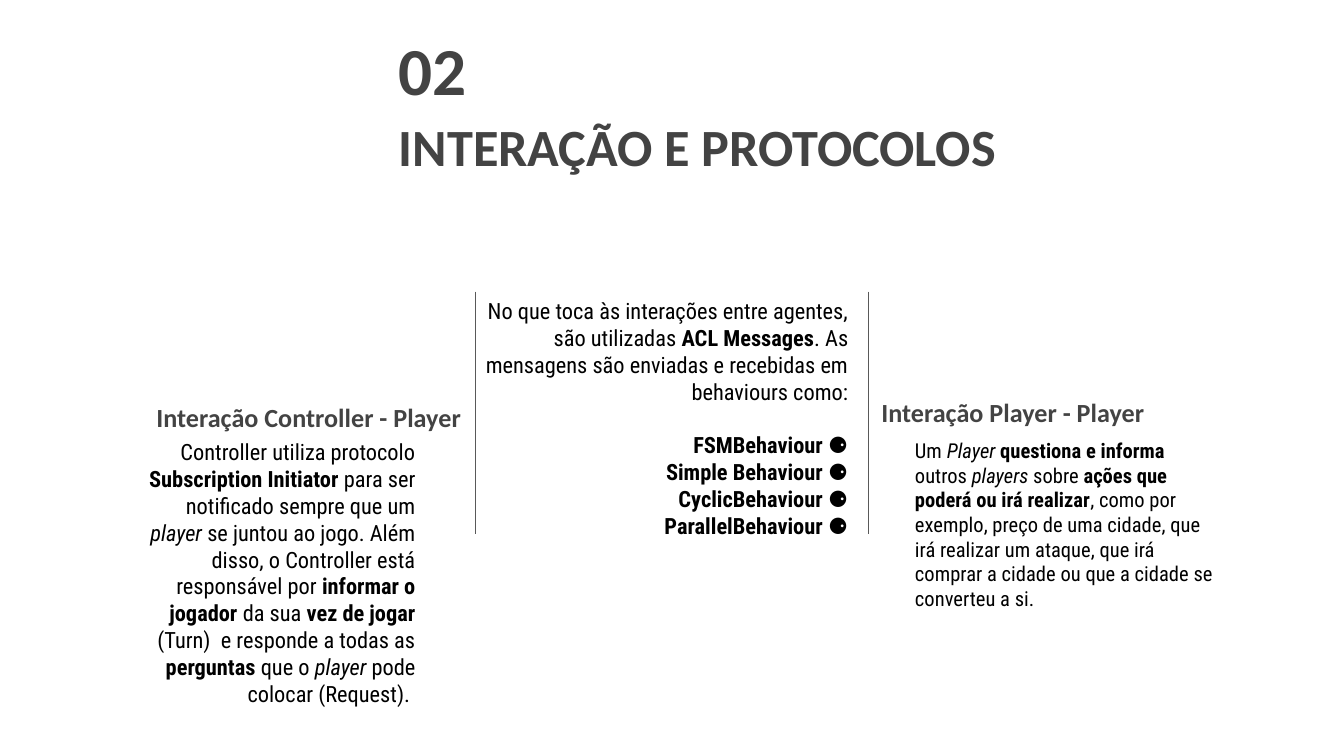
from pptx import Presentation
from pptx.dml.color import RGBColor
from pptx.enum.shapes import MSO_CONNECTOR
from pptx.enum.text import MSO_ANCHOR, PP_ALIGN
from pptx.oxml.ns import qn
from pptx.util import Inches, Pt
from lxml import etree

LEFT, RIGHT = PP_ALIGN.LEFT, PP_ALIGN.RIGHT
TOP, BOTTOM = MSO_ANCHOR.TOP, MSO_ANCHOR.BOTTOM
STRAIGHT = MSO_CONNECTOR.STRAIGHT

BLANK_LAYOUT = 6
COLUMNS, ROWS = 100, 56.25


def color(hex_text):
    return RGBColor.from_string(hex_text)


class SlideBuilder:
    """Holds the style and the current slide; lengths are grid columns and rows."""

    heading_font, heading_color = "Calibri", "434343"
    body_font, body_color = "Roboto Condensed", "000000"
    rule_color, rule_width = "595959", 0.75
    margin = Inches(0.1)

    def __init__(self, deck):
        self.page = deck.slides.add_slide(deck.slide_layouts[BLANK_LAYOUT])
        self.column = deck.slide_width / COLUMNS
        self.row = deck.slide_height / ROWS

    def place(self, x, y):
        return round(x * self.column), round(y * self.row)

    def text_frame(self, left, top, width, height, anchor=TOP):
        box = self.page.shapes.add_textbox(*self.place(left, top), *self.place(width, height))
        frame = box.text_frame
        frame.word_wrap = True
        frame.vertical_anchor = anchor
        frame.margin_left = frame.margin_right = self.margin
        frame.margin_top = frame.margin_bottom = self.margin
        return frame

    def add_span(self, para, text, font, size, hex_text, marks=""):
        """Add one run; marks may hold b for bold and i for italic."""
        span = para.add_run()
        span.text = text
        span.font.name = font
        span.font.size = Pt(size)
        span.font.color.rgb = color(hex_text)
        span.font.bold = "b" in marks
        span.font.italic = "i" in marks

    def heading(self, area, text, size, align=LEFT, anchor=TOP):
        para = self.text_frame(*area, anchor).paragraphs[0]
        para.alignment = align
        self.add_span(para, text, self.heading_font, size, self.heading_color, "b")

    def body(self, area, spans, size, align=LEFT):
        frame = self.text_frame(*area)
        self.fill_para(frame.paragraphs[0], spans, size, align)
        return frame

    def fill_para(self, para, spans, size, align):
        para.alignment = align
        for text, marks in spans:
            self.add_span(para, text, self.body_font, size, self.body_color, marks)

    def trailing_list(self, frame, items, size, gap):
        """Add right-aligned items, each with its mark at the end, after a gap in points."""
        for index, item in enumerate(items):
            para = frame.add_paragraph()
            if index == 0:
                para.space_before = Pt(gap)
            self.fill_para(para, [(f"{item} ⚈", "b")], size, RIGHT)

    def vertical_rule(self, x, top, bottom):
        rule = self.page.shapes.add_connector(STRAIGHT, *self.place(x, top), *self.place(x, bottom))
        rule.line.color.rgb = color(self.rule_color)
        rule.line.width = Pt(self.rule_width)
        etree.SubElement(rule._element.spPr, qn("a:effectLst"))


INTRO = [
    ("No que toca às interações entre agentes, são utilizadas ", ""),
    ("ACL Messages", "b"),
    (". As mensagens são enviadas e recebidas em behaviours como:", ""),
]
BEHAVIOURS = ["FSMBehaviour", "Simple Behaviour", "CyclicBehaviour", "ParallelBehaviour"]
CONTROLLER_PLAYER = [
    ("Controller utiliza protocolo ", ""),
    ("Subscription Initiator ", "b"),
    ("para ser notificado sempre que um ", ""),
    ("player ", "i"),
    ("se juntou ao jogo. Além disso, o Controller está responsável por ", ""),
    ("informar o jogador ", "b"),
    ("da sua ", ""),
    ("vez de jogar ", "b"),
    ("(Turn)  e responde a todas as ", ""),
    ("perguntas", "b"),
    (" que o ", ""),
    ("player ", "i"),
    ("pode colocar (Request). ", ""),
]
PLAYER_PLAYER = [
    ("Um ", ""),
    ("Player ", "i"),
    ("questiona e informa", "b"),
    (" outros ", ""),
    ("players ", "i"),
    ("sobre ", ""),
    ("ações que poderá ou irá realizar", "b"),
    (", como por exemplo, preço de uma cidade, que irá realizar um ataque, "
     "que irá comprar a cidade ou que a cidade se converteu a si.", ""),
]


def main():
    deck = Presentation()
    deck.slide_width = Inches(10)
    deck.slide_height = deck.slide_width * 9 // 16
    builder = SlideBuilder(deck)

    title_left = 28.7
    builder.heading((title_left, 7.5, 57, 10.3), "INTERAÇÃO E PROTOCOLOS", 28)
    builder.heading((title_left, 1.1, 32.6, 8.3), "02", 36)

    intro = builder.body((34.9, 21.1, 29.2, 19.5), INTRO, 12, RIGHT)
    builder.trailing_list(intro, BEHAVIOURS, 12, gap=14.4)

    head_top, head_width, head_height, body_top = 28.5, 29.2, 4.7, 31.6
    builder.heading((6.1, head_top, head_width, head_height),
                    "Interação Controller - Player", 14, RIGHT, BOTTOM)
    builder.body((9.5, body_top, 22.4, 19.5), CONTROLLER_PLAYER, 12, RIGHT)
    builder.heading((64.6, head_top, head_width, head_height), "Interação Player - Player", 14)
    builder.body((67.1, body_top, 24.3, 18), PLAYER_PLAYER, 11)

    for x in (35.4, 64.6):
        builder.vertical_rule(x, 21.7, 39.7)

    deck.save("out.pptx")


if __name__ == "__main__":
    main()
